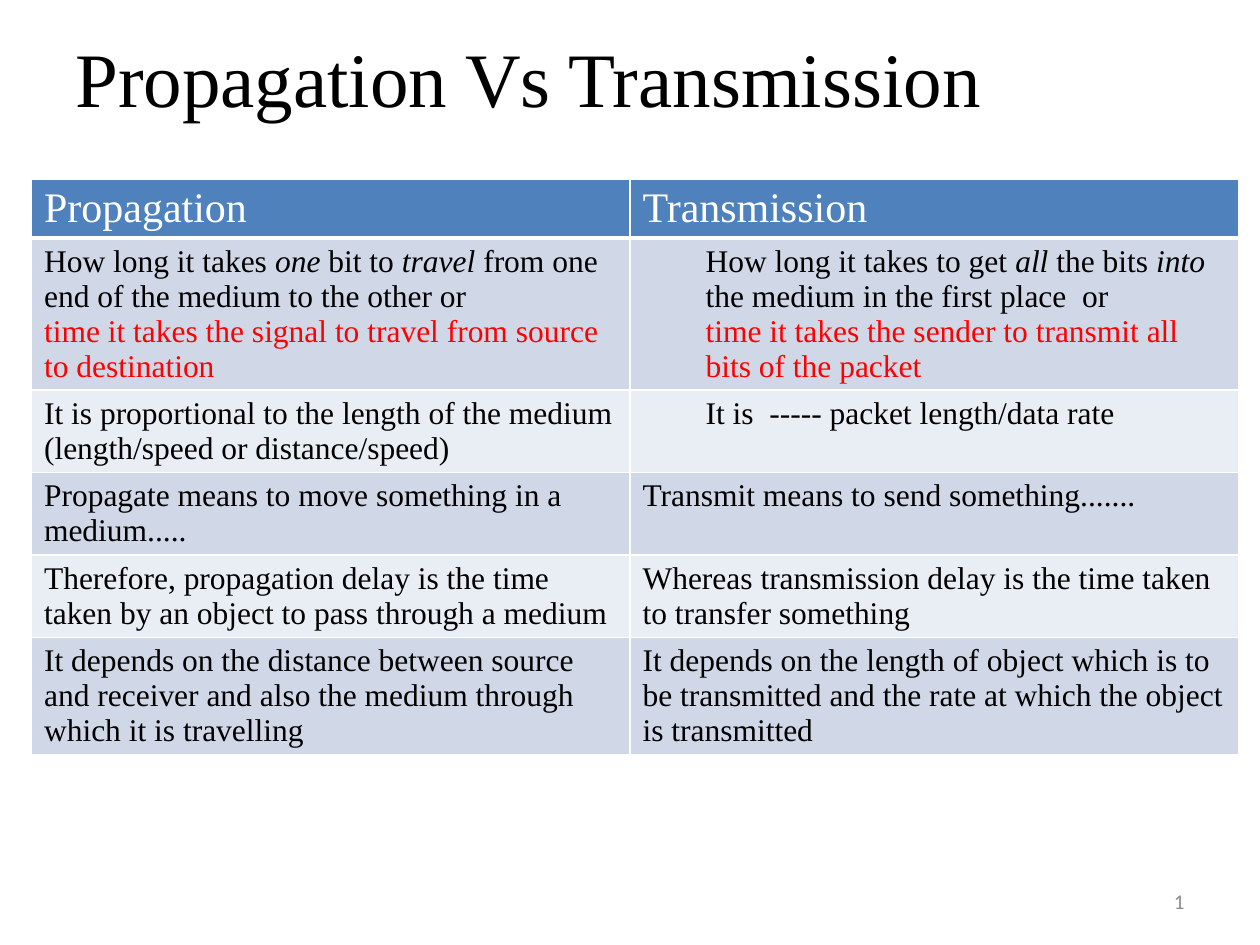
import dataclasses
import lxml.etree
import pptx
import pptx.dml.color
import pptx.enum.text
import pptx.oxml.ns
import pptx.util

Inches = pptx.util.Inches
Align = pptx.enum.text.PP_ALIGN


@dataclasses.dataclass(frozen=True)
class Theme:
    serif: str = "Times New Roman"
    sans: str = "Calibri"
    black: str = "000000"
    white: str = "FFFFFF"
    red: str = "FF0000"
    gray: str = "8C8C8C"
    head: str = "4F81BD"
    bands: tuple = ("D0D8E8", "E9EDF4")
    title: int = 44
    header: int = 24
    body: int = 18
    small: int = 12


THEME = Theme()

HEADS = ["Propagation", "Transmission"]
ROWS = [
    (
        [["How long it takes ", ("one", "i"), " bit to ", ("travel ", "i"),
          "from one end of the medium to the other or"],
         [("time it takes the signal to travel from source to destination", "red")]],
        [["How long it takes to get ", ("all", "i"), " the bits ", ("into", "i"),
          " the medium in the first place  or"],
         [("time it takes the sender to transmit all bits of the packet", "red")]],
    ),
    (
        [["It is proportional to the length of the medium (length/speed or distance/speed)"]],
        [["It is  ----- packet length/data rate"]],
    ),
    (
        [["Propagate means to move something in a medium....."]],
        [["Transmit means to send something......."]],
    ),
    (
        [["Therefore, propagation delay is the time taken by an object to pass through a medium"]],
        [["Whereas transmission delay is the time taken to transfer something"]],
    ),
    (
        [["It depends on the distance between source and receiver and also the medium "
          "through which it is travelling"]],
        [["It depends on the length of object which is to be transmitted and the rate "
          "at which the object is transmitted"]],
    ),
]
INDENTED = {(1, 1), (2, 1)}


def paint(fill, color):
    fill.solid()
    fill.fore_color.rgb = pptx.dml.color.RGBColor.from_string(color)


def add_run(para, text, size, color, face=THEME.serif, italic=False):
    run = para.add_run()
    run.text = text
    font = run.font
    font.name, font.size = face, pptx.util.Pt(size)
    font.bold, font.italic = False, italic
    paint(font.fill, color)


def add_label(slide, box, text, size, color, face, align=Align.LEFT):
    frame = slide.shapes.add_textbox(*map(Inches, box)).text_frame
    frame.word_wrap = True
    frame.vertical_anchor = pptx.enum.text.MSO_ANCHOR.MIDDLE
    para = frame.paragraphs[0]
    para.alignment = align
    add_run(para, text, size, color, face)


def add_edges(cell, base):
    props = cell._tc.get_or_add_tcPr()
    qn = pptx.oxml.ns.qn
    for spot, (side, width) in enumerate([("L", 1), ("R", 1), ("T", 1), ("B", base)]):
        line = lxml.etree.Element(qn(f"a:ln{side}"), w=str(pptx.util.Pt(width)))
        fill = lxml.etree.SubElement(line, qn("a:solidFill"))
        lxml.etree.SubElement(fill, qn("a:srgbClr"), val=THEME.white)
        props.insert(spot, line)


def fill_cell(cell, paras, size, color, back, indent=0, base=1):
    paint(cell.fill, back)
    add_edges(cell, base)
    frame = cell.text_frame
    for spot, runs in enumerate(paras):
        para = frame.add_paragraph() if spot else frame.paragraphs[0]
        if indent:
            props = para._p.get_or_add_pPr()
            props.set("marL", str(Inches(indent)))
            props.set("indent", "0")
        for item in runs:
            text, mark = (item, "") if isinstance(item, str) else item
            tone = THEME.red if mark == "red" else color
            add_run(para, text, size, tone, italic=mark == "i")


def add_grid(slide):
    count, height = len(ROWS) + 1, 0.41
    widths = [4.75, 4.83]
    table = slide.shapes.add_table(
        count, len(widths), Inches(0.25), Inches(1.42),
        Inches(sum(widths)), Inches(count * height)).table
    for col, width in zip(table.columns, widths):
        col.width = Inches(width)
    for c, text in enumerate(HEADS):
        fill_cell(table.cell(0, c), [[text]], THEME.header, THEME.white,
                  THEME.head, base=3)
    for r, row in enumerate(ROWS, 1):
        for c, paras in enumerate(row):
            fill_cell(table.cell(r, c), paras, THEME.body, THEME.black,
                      THEME.bands[(r - 1) % 2], 0.5 if (r, c) in INDENTED else 0)


def main():
    deck = pptx.Presentation()
    deck.slide_width, deck.slide_height = Inches(10), Inches(7.5)
    slide = deck.slides.add_slide(deck.slide_layouts[6])
    add_grid(slide)
    add_label(slide, (7.17, 6.95, 2.33, 0.4), "1", THEME.small, THEME.gray,
              THEME.sans, Align.RIGHT)
    add_label(slide, (0.5, 0.17, 9, 0.87), "Propagation Vs Transmission",
              THEME.title, THEME.black, THEME.serif)
    deck.save("out.pptx")


if __name__ == "__main__":
    main()
